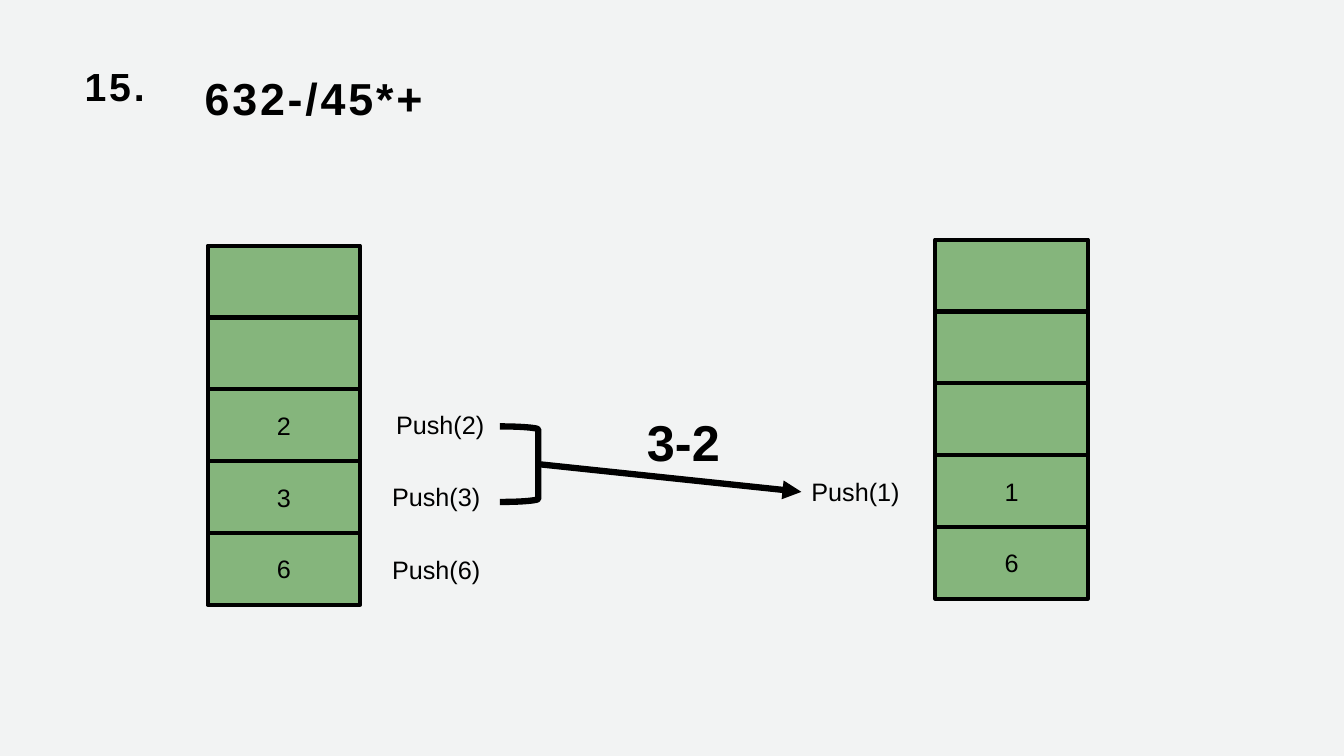
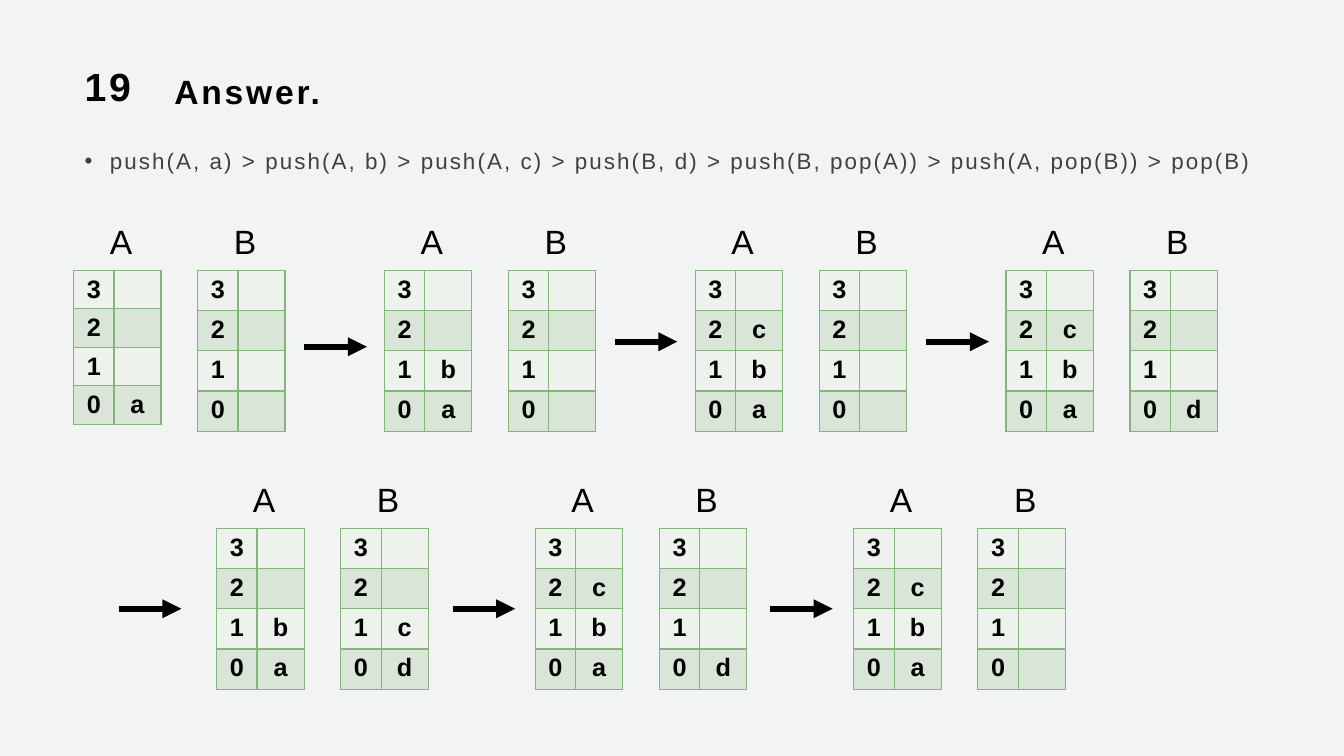
import pptx
import pptx.dml.color
import pptx.enum.shapes
import pptx.enum.text
import pptx.oxml.ns
import pptx.util
from lxml import etree

WIDTH = pptx.util.Inches(13.33)
HEIGHT = pptx.util.Inches(7.5)
FONT = "Arial"
COLORS = {
    "background": "F2F3F3",
    "ink": "000000",
    "body": "404040",
    "green": "85B57C",
    "light_row": "EDF3EC",
    "dark_row": "D9E5D7",
}
ALIGN = pptx.enum.text.PP_ALIGN
ANCHOR = pptx.enum.text.MSO_ANCHOR
SHAPE = pptx.enum.shapes.MSO_SHAPE

# Lengths below are percentages of the slide's width (x) or height (y).
MARGIN, CONTENT_WIDTH = 5.48, 89.03
CELL_WIDTH, CELL_HEIGHT = 11.33, 9.5
INDEX_COLUMN, VALUE_COLUMN = 3, 3.5
B_OFFSET = 9.23
ARROW_LENGTH = 4.65


def across(percent):
    return int(WIDTH * percent / 100)


def down(percent):
    return int(HEIGHT * percent / 100)


def area(x, y, width, height):
    return across(x), down(y), across(width), down(height)


def color(name):
    return pptx.dml.color.RGBColor.from_string(COLORS[name])


def add_xml(parent, tag, **attributes):
    return etree.SubElement(parent, pptx.oxml.ns.qn(tag), attributes)


def style_text(paragraph, size, bold=False, ink="ink", tracking=0):
    """Format every run; tracking is letter spacing in points."""
    for run in paragraph.runs:
        run.font.name = FONT
        run.font.size = pptx.util.Pt(size)
        run.font.bold = bold
        run.font.color.rgb = color(ink)
        if tracking:
            run._r.get_or_add_rPr().set("spc", str(int(tracking * 100)))


def add_text(slide, text, x, y, width, height, size=18, **style):
    label = slide.shapes.add_textbox(*area(x, y, width, height))
    label.text_frame.word_wrap = True
    label.text_frame.text = text
    style_text(label.text_frame.paragraphs[0], size, **style)
    return label


def add_heading(slide, text, x, y, width, height, size):
    heading = add_text(slide, text, x, y, width, height, size, bold=True, tracking=2)
    heading.text_frame.margin_left = pptx.util.Inches(0.11)
    return heading


def add_exercise(deck, number):
    """Add a slide headed by its exercise number."""
    slide = deck.slides.add_slide(deck.slide_layouts[6])
    heading = add_heading(slide, number, MARGIN, 6.67, CONTENT_WIDTH, 9.47, 28)
    heading.text_frame.vertical_anchor = ANCHOR.MIDDLE
    return slide


def add_steps(slide, text):
    steps = add_text(slide, text, MARGIN, 18.4, CONTENT_WIDTH, 10.13, 16,
                     ink="body", tracking=1.5)
    frame = steps.text_frame
    frame.margin_left, frame.margin_right = pptx.util.Inches(0.11), pptx.util.Inches(0.09)
    frame.margin_top = frame.margin_bottom = 0
    paragraph = frame.paragraphs[0]
    paragraph.line_spacing = 1.3
    indent = pptx.util.Inches(0.25)
    properties = paragraph._p.get_or_add_pPr()
    properties.set("marL", str(indent))
    properties.set("indent", str(-indent))
    add_xml(properties, "a:buFont", typeface=FONT)
    add_xml(properties, "a:buChar", char="•")


def add_arrow(slide, x1, y1, x2, y2, target=None):
    """Draw an arrow, joined to the left side of target if one is given."""
    arrow = slide.shapes.add_connector(
        pptx.enum.shapes.MSO_CONNECTOR.STRAIGHT,
        across(x1), down(y1), across(x2), down(y2))
    if target is not None:
        arrow.end_connect(target, 1)
    arrow.line.color.rgb = color("ink")
    arrow.line.width = pptx.util.Pt(4.5)
    add_xml(arrow.line._get_or_add_ln(), "a:tailEnd", type="triangle")
    add_xml(arrow._element.spPr, "a:effectLst")


def add_stack(slide, x, base, values, slots=5):
    """Draw a stack of boxes upwards from base, holding values from the bottom."""
    for level in range(slots):
        cell = slide.shapes.add_shape(
            SHAPE.RECTANGLE,
            *area(x, base - CELL_HEIGHT * (level + 1), CELL_WIDTH, CELL_HEIGHT))
        cell.shadow.inherit = False
        cell.fill.solid()
        cell.fill.fore_color.rgb = color("green")
        cell.line.color.rgb = color("ink")
        cell.line.width = pptx.util.Pt(3)
        if level < len(values):
            cell.text_frame.text = values[level]
            cell.text_frame.vertical_anchor = ANCHOR.MIDDLE
            paragraph = cell.text_frame.paragraphs[0]
            paragraph.alignment = ALIGN.CENTER
            style_text(paragraph, 18)


def add_bracket(slide, x, y, width, height):
    bracket = slide.shapes.add_shape(SHAPE.RIGHT_BRACKET, *area(x, y, width, height))
    bracket.shadow.inherit = False
    bracket.fill.background()
    bracket.line.color.rgb = color("ink")
    bracket.line.width = pptx.util.Pt(4.5)


def fill_cell(cell, text, fill):
    properties = cell._tc.get_or_add_tcPr()
    for side in ("a:lnL", "a:lnR", "a:lnT", "a:lnB"):
        border = add_xml(properties, side, w=str(pptx.util.Pt(1)))
        add_xml(add_xml(border, "a:solidFill"), "a:srgbClr", val=COLORS["green"])
    cell.fill.solid()
    cell.fill.fore_color.rgb = color(fill)
    cell.margin_top, cell.margin_bottom = pptx.util.Inches(0.05), pptx.util.Inches(0.02)
    cell.text_frame.text = text
    paragraph = cell.text_frame.paragraphs[0]
    paragraph.alignment = ALIGN.CENTER
    style_text(paragraph, 18, bold=True)


def add_stack_table(slide, name, x, y, values, row_height=5.33, slots=4):
    """Show a named stack as a table whose index 0 is at the bottom."""
    add_text(slide, name, x + 1.95, y - 7.13, 3.2, 6.67, 24)
    table = slide.shapes.add_table(
        slots, 2,
        *area(x, y, INDEX_COLUMN + VALUE_COLUMN, row_height * slots)).table
    table.first_row = table.horz_banding = False
    for column, width in zip(table.columns, (INDEX_COLUMN, VALUE_COLUMN)):
        column.width = across(width)
    for row in range(slots):
        table.rows[row].height = down(row_height)
        index = slots - 1 - row
        fill = "dark_row" if row % 2 else "light_row"
        fill_cell(table.cell(row, 0), str(index), fill)
        fill_cell(table.cell(row, 1), values[index] if index < len(values) else "", fill)


def add_states(slide, first, last, y, states, first_height=5.33):
    """Spread pairs of stacks A and B evenly from x = first to x = last."""
    step = (last - first) / (len(states) - 1)
    for position, (a_values, b_values) in enumerate(states):
        x = first + step * position
        a_height = 5.33 if position else first_height
        add_stack_table(slide, "A", x, y, a_values, a_height)
        add_stack_table(slide, "B", x + B_OFFSET, y, b_values)


def build_postfix(deck):
    slide = add_exercise(deck, "15.")
    add_heading(slide, "632-/45*+", 14.4, 8.67, 55.2, 8.27, 32)
    add_stack(slide, 15.45, 80, "632")
    add_stack(slide, 69.6, 79.2, "61")
    for level, (value, x) in enumerate((("6", 28.43), ("3", 28.43), ("2", 28.73))):
        add_text(slide, f"Push({value})", x, 72.67 - 9.6 * level, 8.48, 5.33)
    result = add_text(slide, "Push(1)", 59.63, 62.4, 8.48, 5.33)
    add_text(slide, "3-2", 47.4, 53.73, 7.65, 9.47, 36, bold=True)
    add_bracket(slide, 37.2, 56.4, 2.85, 10)
    add_arrow(slide, 40.05, 61.4, 59.63, 65.07, result)


def build_two_stacks(deck):
    slide = add_exercise(deck, "19")
    add_heading(slide, "Answer.", 12.15, 8.67, 43.35, 5.6, 24)
    add_steps(slide, "push(A, a) > push(A, b) > push(A, c) > push(B, d) > "
                     "push(B, pop(A)) > push(A, pop(B)) > pop(B)")
    add_states(slide, MARGIN, 74.85, 35.73,
               [("a", ""), ("ab", ""), ("abc", ""), ("abc", "d")], first_height=5.1)
    add_states(slide, 16.13, 63.53, 69.87,
               [("ab", "dc"), ("abc", "d"), ("abc", "")])
    for x, y in ((22.65, 45.87), (45.75, 45.2), (68.93, 45.2),
                 (8.85, 80.53), (33.68, 80.53), (57.3, 80.53)):
        add_arrow(slide, x, y, x + ARROW_LENGTH, y)


def main():
    deck = pptx.Presentation()
    deck.slide_width, deck.slide_height = WIDTH, HEIGHT
    backdrop = deck.slide_master.background.fill
    backdrop.solid()
    backdrop.fore_color.rgb = color("background")
    build_postfix(deck)
    build_two_stacks(deck)
    deck.save("out.pptx")


if __name__ == "__main__":
    main()
